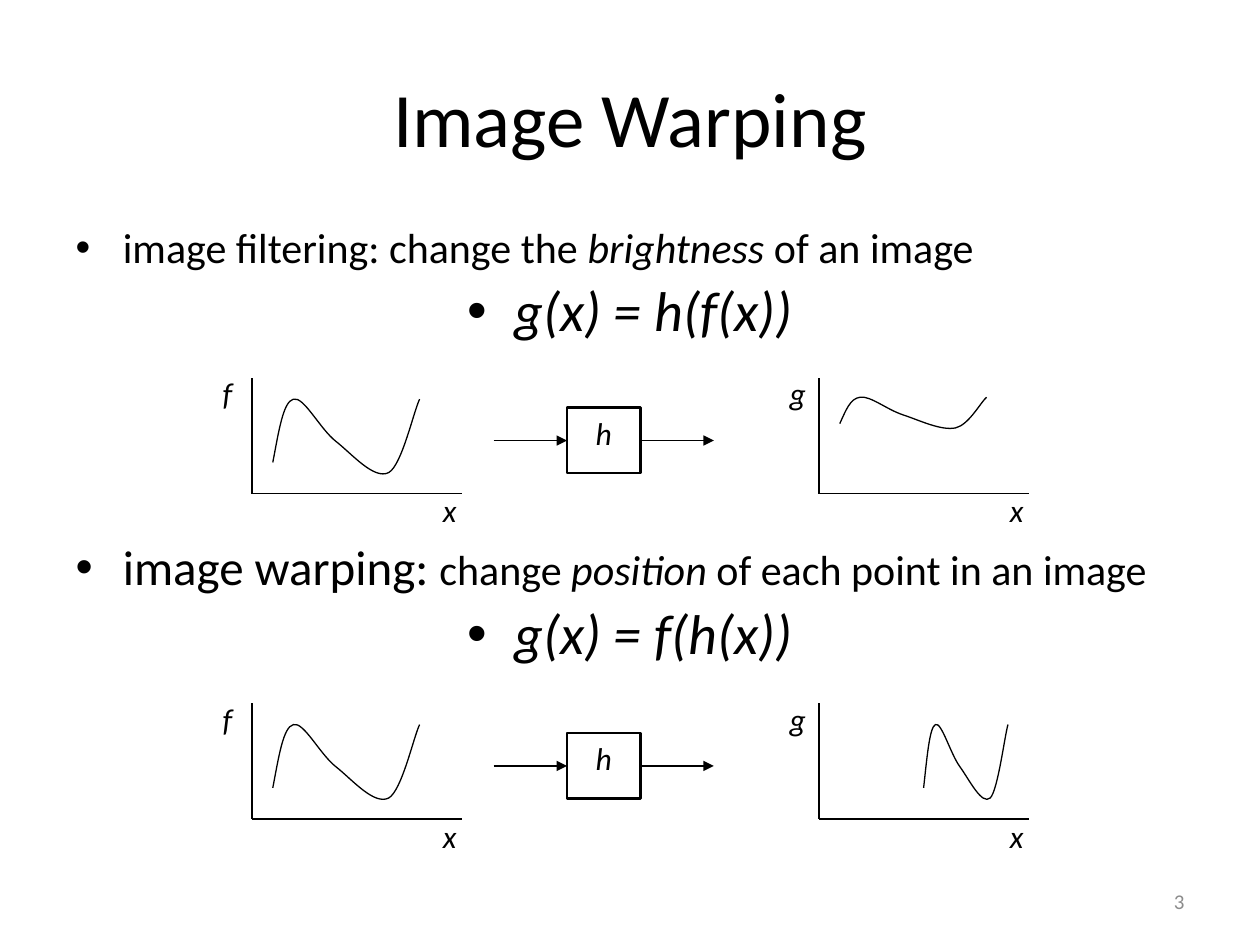
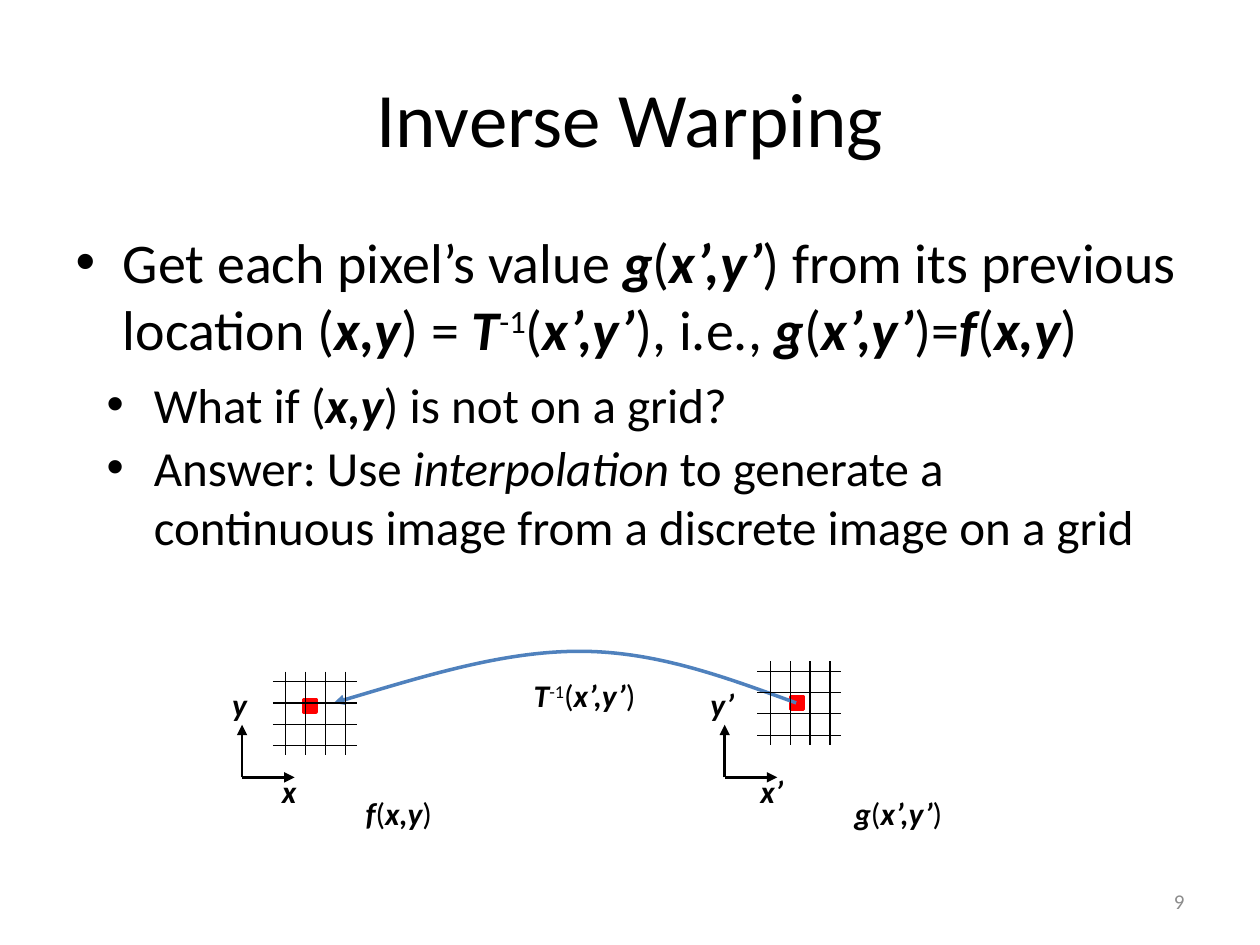
from lxml.etree import SubElement
from pptx import Presentation
from pptx.dml.color import RGBColor
from pptx.enum.shapes import MSO_CONNECTOR, MSO_SHAPE
from pptx.enum.text import MSO_ANCHOR, MSO_AUTO_SIZE, PP_ALIGN
from pptx.oxml.ns import qn
from pptx.util import Cm, Pt

FONT = "Calibri"
BLACK, GRAY, RED, BLUE = "000000", "8C8C8C", "FF0000", "4F81BD"
LEFT, CENTER, RIGHT = PP_ALIGN.LEFT, PP_ALIGN.CENTER, PP_ALIGN.RIGHT

# In marked text, | switches emphasis on and off and ^ opens a superscript run.
WARPING_TITLE = "Image Warping"
WARPING_BODY = [
    ("image filtering: change the |brightness| of an image", 24, 24, LEFT, 0),
    ("|g(x) = h(f(x))|", 32, 32, CENTER, 6),
    ("image warping: ||change |position| of each point in an image", 28, 24, LEFT, 114),
    ("|g(x) = f(h(x))|", 32, 32, CENTER, 6),
]
SIGNAL = [(0, .79), (.04, .43), (.07, .07), (.14, .04), (.21, 0), (.32, .39), (.43, .54),
          (.54, .69), (.69, 1), (.79, .91), (.88, .82), (.96, .18), (1, .04)]
F_CURVE = (.42, .36, 2.96, 1.7)
DIAGRAMS = [
    (7.62, (.42, .36, 2.96, .71)),
    (14.18, (2.11, .36, 1.7, 1.7)),
]
F_LEFT, G_LEFT, H_LEFT = 5.08, 16.51, 11.43

INVERSE_TITLE = "Inverse Warping"
INVERSE_BODY = ("Get each pixel’s value |g|(|x’,y’|) from its previous location (|x,y|) = "
                "|T|^-1||(|x’,y’|), i.e., |g|(|x’,y’|)=|f|(|x,y|)")
SUB_BULLETS = [
    ("What if (|x,y|) is not on a grid?", True, 7.42, 22.22),
    ("Answer: Use |interpolation| to generate a continuous image from a discrete image on a grid",
     False, 8.69, 21.59),
]
IMAGES = [
    {"axes": (4.88, 15.67), "names": ("x", "y"), "grid": (5.5, 13.54), "pixel": (6.12, 14.1),
     "label": ("|f|(|x,y|)", 7.09, 1.9)},
    {"axes": (14.61, 15.67), "names": ("x’", "y’"), "grid": (15.27, 13.33), "pixel": (15.95, 14.05),
     "label": ("|g|(|x’,y’|)", 16.94, 2.34)},
]
INVERSE_MAP = [(6.73, 14.17), (8.43, 13.67), (10.13, 13.13), (11.68, 13.13),
               (13.26, 13.13), (14.66, 13.67), (16.05, 14.17)]


def rgb(value):
    return RGBColor.from_string(value)


def write(p, text, size, align=LEFT, bold=False, color=BLACK):
    p.alignment = align
    for i, part in enumerate(text.split("|")):
        if not part:
            continue
        r = p.add_run()
        r.text = part.lstrip("^")
        font = r.font
        font.name, font.size, font.color.rgb = FONT, Pt(size), rgb(color)
        font.italic = i % 2 == 1
        font.bold = bold and i % 2 == 1
        if part.startswith("^"):
            font._element.set("baseline", "30000")


def place(sp, x, y, w, h):
    sp.left, sp.top, sp.width, sp.height = Cm(x), Cm(y), Cm(w), Cm(h)
    tf = sp.text_frame
    tf.word_wrap = True
    tf.auto_size = MSO_AUTO_SIZE.NONE
    return tf


def add_text(s, text, x, y, w, h=1.02, size=18, **style):
    tf = place(s.shapes.add_textbox(0, 0, 0, 0), x, y, w, h)
    write(tf.paragraphs[0], text, size, **style)
    return tf


def add_bullet(p):
    pPr = p._p.get_or_add_pPr()
    pPr.set("marL", "342900")
    pPr.set("indent", "-342900")
    SubElement(pPr, qn("a:buFont"), typeface="Arial")
    SubElement(pPr, qn("a:buChar"), char="•")


def add_arrowhead(sp, end):
    SubElement(sp.line._get_or_add_ln(), qn(f"a:{end}"), type="triangle")


def add_line(s, x1, y1, x2, y2, width=.75, arrow=False):
    line = s.shapes.add_connector(MSO_CONNECTOR.STRAIGHT, Cm(x1), Cm(y1), Cm(x2), Cm(y2))
    line.line.color.rgb, line.line.width = rgb(BLACK), Pt(width)
    SubElement(line._element.spPr, qn("a:effectLst"))
    if arrow:
        add_arrowhead(line, "tailEnd")
    return line


def add_curve(s, points, color=BLACK, width=.75):
    start, *rest = [(Cm(x), Cm(y)) for x, y in points]
    builder = s.shapes.build_freeform(*start)
    builder.add_line_segments(rest, close=False)
    sp = builder.convert_to_shape()
    segments = list(sp._element.iter(qn("a:lnTo")))
    outline = segments[0].getparent()
    for i in range(0, len(segments), 3):
        bezier = SubElement(outline, qn("a:cubicBezTo"))
        for segment in segments[i:i + 3]:
            bezier.append(segment[0])
            outline.remove(segment)
    sp.shadow.inherit = False
    sp.fill.background()
    sp.line.color.rgb, sp.line.width = rgb(color), Pt(width)
    return sp


def add_rect(s, x, y, w, h, color, width):
    sp = s.shapes.add_shape(MSO_SHAPE.RECTANGLE, Cm(x), Cm(y), Cm(w), Cm(h))
    sp.shadow.inherit = False
    sp.line.color.rgb, sp.line.width = rgb(color), Pt(width)
    return sp


def add_slide(prs, title, number):
    s = prs.slides.add_slide(prs.slide_layouts[1])
    tf = place(s.shapes.title, 1.27, .76, 22.86, 3.18)
    tf.vertical_anchor = MSO_ANCHOR.MIDDLE
    write(tf.paragraphs[0], title, 44, CENTER)
    body = place(s.placeholders[1], 1.27, 4.45, 22.86, 12.57)
    tf = add_text(s, number, 18.21, 17.65, 5.92, size=12, align=RIGHT, color=GRAY)
    tf.vertical_anchor = MSO_ANCHOR.MIDDLE
    return s, body


def add_graph(s, name, x, y, curve):
    add_line(s, x, y, x, y + 2.33)
    add_line(s, x, y + 2.33, x + 4.23, y + 2.33)
    dx, dy, w, h = curve
    add_curve(s, [(x + dx + u * w, y + dy + v * h) for u, v in SIGNAL])
    add_text(s, f"|{name}|", x - .84, y - .2, 1.06)
    add_text(s, "|x|", x + 3.6, y + 2.16, 1.06)


def add_operator(s, x, y):
    w, h, reach = 1.48, 1.32, 1.48
    box = add_rect(s, x, y, w, h, BLACK, 1.5)
    box.fill.background()
    box.text_frame.vertical_anchor = MSO_ANCHOR.TOP
    write(box.text_frame.paragraphs[0], "|h|", 18, CENTER)
    middle = y + h / 2
    add_line(s, x - reach, middle, x, middle, arrow=True).end_connect(box, 1)
    add_line(s, x + w, middle, x + w + reach, middle, arrow=True).begin_connect(box, 3)


def add_axes(s, x, y, names):
    arm = 1.06
    add_line(s, x, y, x, y - arm, 1.5, arrow=True)
    add_line(s, x, y, x + arm, y, 1.5, arrow=True)
    label = {"align": CENTER, "bold": True}
    add_text(s, f"|{names[0]}|", x, y - .23, 1.9, 1.27, **label)
    add_text(s, f"|{names[1]}|", x - 1, y - 1.98, 1.9, **label)


def add_grid(s, x, y):
    length = 1.69
    for i in range(4):
        column, row = x + .26 + i * .4, y + .2 + i * .43
        add_line(s, column, y, column, y + length)
        add_line(s, x, row, x + length, row)


def build_warping(prs):
    s, body = add_slide(prs, WARPING_TITLE, "3")
    for i, (text, first_size, size, align, before) in enumerate(WARPING_BODY):
        p = body.add_paragraph() if i else body.paragraphs[0]
        write(p, text, size, align)
        p.runs[0].font.size = Pt(first_size)
        p.line_spacing, p.space_before = .9, Pt(before)
    for y, g_curve in DIAGRAMS:
        add_graph(s, "f", F_LEFT, y, F_CURVE)
        add_operator(s, H_LEFT, y + .6)
        add_graph(s, "g", G_LEFT, y, g_curve)


def build_inverse(prs):
    s, body = add_slide(prs, INVERSE_TITLE, "9")
    p = body.paragraphs[0]
    write(p, INVERSE_BODY, 32, bold=True)
    p.space_before = Pt(0)
    for text, bold, y, w in SUB_BULLETS:
        tf = add_text(s, text, 1.9, y, w, 2.54, 28, bold=bold)
        add_bullet(tf.paragraphs[0])
    for image in IMAGES:
        pixel = add_rect(s, *image["pixel"], .25, .25, RED, 2)
        pixel.fill.solid()
        pixel.fill.fore_color.rgb = rgb(RED)
        add_axes(s, *image["axes"], image["names"])
        text, x, w = image["label"]
        add_text(s, text, x, 15.88, w, align=CENTER, bold=True)
    add_arrowhead(add_curve(s, INVERSE_MAP, BLUE, 2), "headEnd")
    for image in IMAGES:
        add_grid(s, *image["grid"])
    add_text(s, "|T|^-1||(|x’,y’|)", 10.06, 13.51, 3.45, align=CENTER, bold=True)


def main():
    prs = Presentation()
    prs.slide_width, prs.slide_height = Cm(25.4), Cm(19.05)
    build_warping(prs)
    build_inverse(prs)
    prs.save("out.pptx")


if __name__ == "__main__":
    main()
